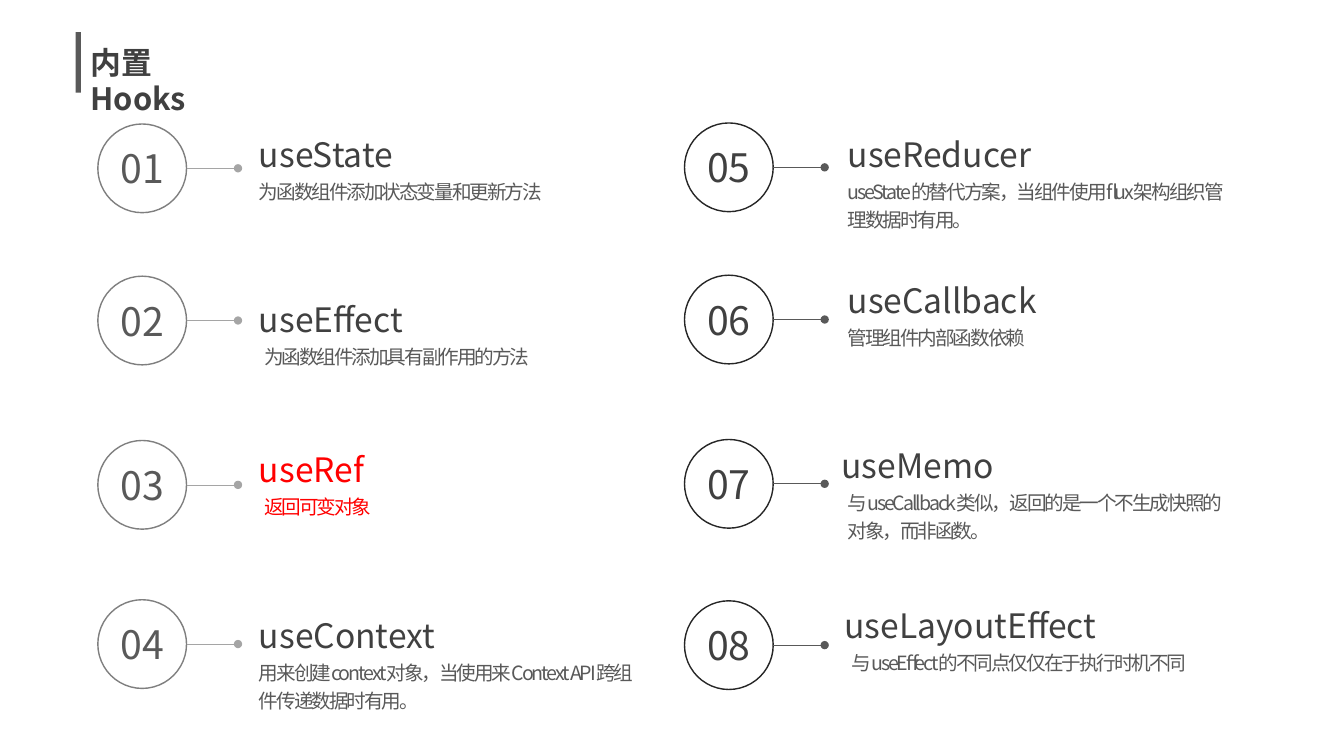
from dataclasses import dataclass

from lxml import etree
from pptx import Presentation
from pptx.dml.color import RGBColor
from pptx.enum.shapes import MSO_CONNECTOR, MSO_SHAPE
from pptx.enum.text import MSO_ANCHOR, PP_ALIGN
from pptx.oxml.ns import qn
from pptx.util import Inches, Pt

OVAL, RECTANGLE = MSO_SHAPE.OVAL, MSO_SHAPE.RECTANGLE
STRAIGHT = MSO_CONNECTOR.STRAIGHT
CENTER, LEFT = PP_ALIGN.CENTER, PP_ALIGN.LEFT
MIDDLE = MSO_ANCHOR.MIDDLE

FONT = "Noto Sans CJK SC"
WHITE = RGBColor(0xFF, 0xFF, 0xFF)
BLACK = RGBColor(0x26, 0x26, 0x26)
DARK = RGBColor(0x40, 0x40, 0x40)
GRAY = RGBColor(0x59, 0x59, 0x59)
MID_GRAY = RGBColor(0x7F, 0x7F, 0x7F)
LIGHT_GRAY = RGBColor(0xA5, 0xA5, 0xA5)
RED = RGBColor(0xFF, 0x00, 0x00)

SLIDE_WIDTH, SLIDE_HEIGHT = Inches(13.333), Inches(7.5)


def across(percent):
    return round(SLIDE_WIDTH * percent / 100)


def down(percent):
    return round(SLIDE_HEIGHT * percent / 100)


DIAMETER = Inches(0.88)
ARM_LENGTH = across(3.83)
TEXT_WIDTH = across(30.15)
NAME_HEIGHT = down(6.67)
NOTE_HEIGHT = down(8.93)
NOTE_DROP = down(5.47)


@dataclass
class Column:
    left: float
    text_offset: float
    ring: RGBColor
    arm: RGBColor
    number: RGBColor


@dataclass
class Hook:
    number: str
    name: str
    note: str
    top: float
    text_drop: float
    name_shift: float = 0
    note_shift: float = 0
    highlight: RGBColor | None = None


LEFT_COLUMN = Column(7.28, 11.25, MID_GRAY, LIGHT_GRAY, GRAY)
RIGHT_COLUMN = Column(50.93, 11.4, BLACK, GRAY, DARK)

HOOKS = [
    (LEFT_COLUMN, [
        Hook("01", "useState", "为函数组件添加状态变量和更新方法", 16.4, 0.67),
        Hook("02", "useEffect", "为函数组件添加具有副作用的方法", 36.53, 2.4, note_shift=0.38),
        Hook("03", "useRef", "返回可变对象", 58.27, 0.4, note_shift=0.38, highlight=RED),
        Hook("04", "useContext", "用来创建context对象，当使用来Context API跨组件传递数据时有用。",
             79.33, 1.33),
    ]),
    (RIGHT_COLUMN, [
        Hook("05", "useReducer", "useState的替代方案，当组件使用flux架构组织管理数据时有用。",
             16.27, 0.8),
        Hook("06", "useCallback", "管理组件内部函数依赖", 36.4, 0),
        Hook("07", "useMemo", "与useCallback类似，返回的是一个不生成快照的对象，而非函数。",
             58.13, 0, name_shift=-0.45),
        Hook("08", "useLayoutEffect", "与useEffect的不同点仅仅在于执行时机不同",
             79.47, -0.13, name_shift=-0.23, note_shift=0.3),
    ]),
]


def write(shape, text, size, color, wrap=True, align=LEFT, bold=False, line_spacing=None,
          tracking=None):
    frame = shape.text_frame
    frame.word_wrap = wrap
    paragraph = frame.paragraphs[0]
    paragraph.alignment = align
    if line_spacing:
        paragraph.line_spacing = line_spacing
    run = paragraph.add_run()
    run.text = text
    run.font.name = FONT
    run.font.size = Pt(size)
    run.font.bold = bold
    run.font.color.rgb = color
    properties = run.font._element
    etree.SubElement(properties, qn("a:ea")).set("typeface", FONT)
    if tracking:
        properties.set("spc", str(round(tracking * 100)))


def add_heading(slide, left, top, width, height):
    bar_width = across(0.38)
    bar = slide.shapes.add_shape(RECTANGLE, left, top, bar_width, height)
    bar.shadow.inherit = False
    bar.fill.solid()
    bar.fill.fore_color.rgb = GRAY
    bar.line.fill.background()
    title = slide.shapes.add_textbox(left + bar_width, top + down(0.8), width - bar_width, height)
    write(title, "内置Hooks", 22, DARK, bold=True)


def add_badge(slide, left, top, column, number):
    circle = slide.shapes.add_shape(OVAL, left, top, DIAMETER, DIAMETER)
    circle.shadow.inherit = False
    circle.fill.background()
    circle.line.color.rgb = column.ring
    circle.line.width = Pt(1)
    circle.text_frame.vertical_anchor = MIDDLE
    write(circle, number, 28, column.number, wrap=False, align=CENTER)

    start, middle = left + DIAMETER, top + DIAMETER // 2
    arm = slide.shapes.add_connector(STRAIGHT, start, middle, start + ARM_LENGTH, middle)
    arm.line.color.rgb = column.arm
    arm.line.width = Pt(0.5)
    etree.SubElement(arm.line._get_or_add_ln(), qn("a:tailEnd")).set("type", "oval")
    etree.SubElement(arm._element.spPr, qn("a:effectLst"))


def add_hook(slide, column, hook):
    left, top = across(column.left), down(hook.top)
    add_badge(slide, left, top, column, hook.number)

    text_left = left + across(column.text_offset)
    text_top = top + down(hook.text_drop)
    group = slide.shapes.add_group_shape()
    note = group.shapes.add_textbox(text_left + across(hook.note_shift), text_top + NOTE_DROP,
                                    TEXT_WIDTH, NOTE_HEIGHT)
    write(note, hook.note, 14, hook.highlight or GRAY, line_spacing=1.2, tracking=-1.5)
    name = group.shapes.add_textbox(text_left + across(hook.name_shift), text_top,
                                    TEXT_WIDTH, NAME_HEIGHT)
    write(name, hook.name, 24, hook.highlight or DARK)


def main():
    presentation = Presentation()
    presentation.slide_width = SLIDE_WIDTH
    presentation.slide_height = SLIDE_HEIGHT
    slide = presentation.slides.add_slide(presentation.slide_layouts[6])
    slide.background.fill.solid()
    slide.background.fill.fore_color.rgb = WHITE

    add_heading(slide, across(5.63), down(4.27), across(11.5), down(8))
    for column, hooks in HOOKS:
        for hook in hooks:
            add_hook(slide, column, hook)
    presentation.save("out.pptx")


if __name__ == "__main__":
    main()
